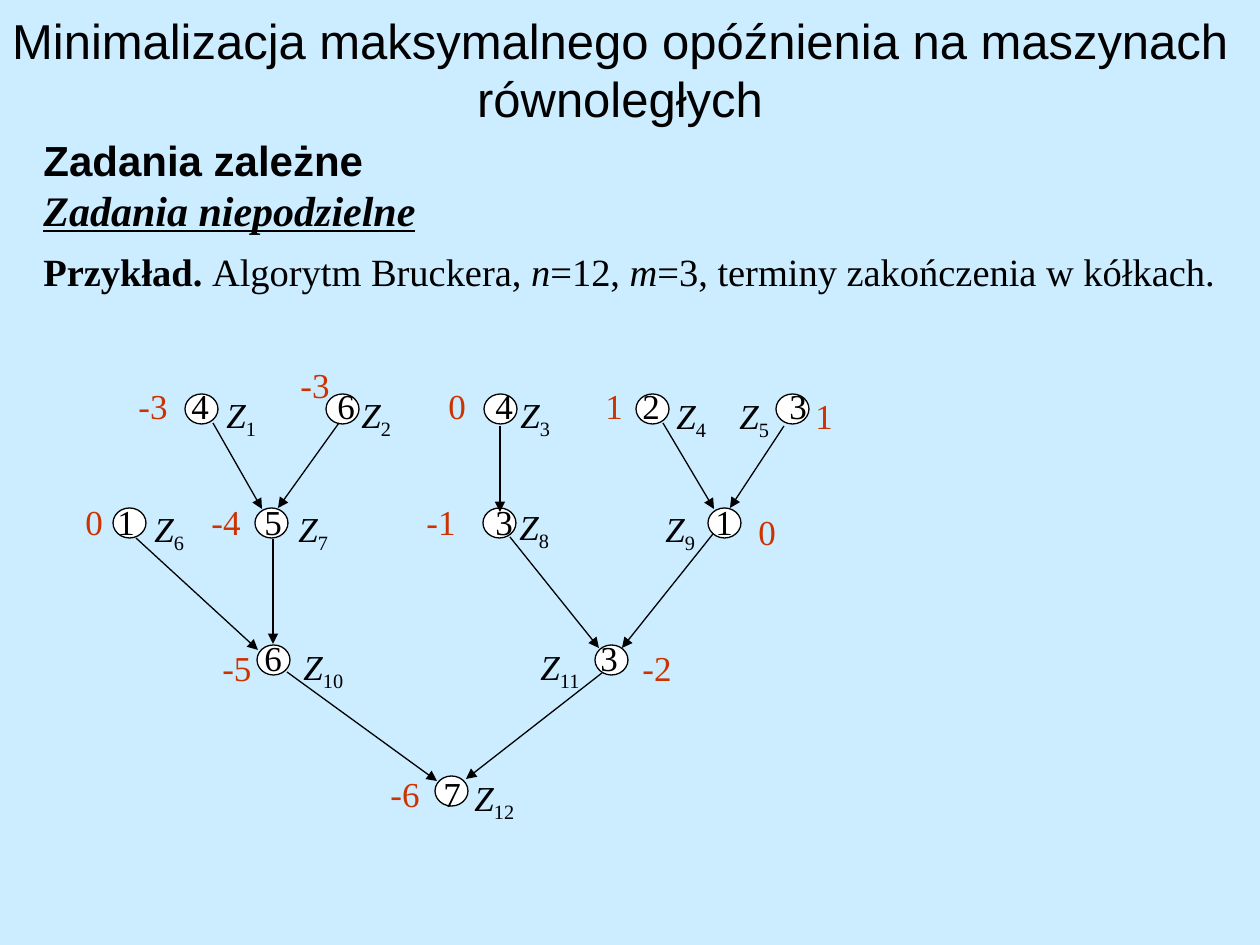
from lxml import etree
from pptx import Presentation
from pptx import util as u
from pptx.dml.color import RGBColor
from pptx.enum import shapes, text
from pptx.oxml.ns import qn

PX = 914400 // 126
THEME = {
    "back": RGBColor.from_string("CCECFF"),
    "ink": RGBColor.from_string("000000"),
    "circle": RGBColor.from_string("FFFFFF"),
    "due": RGBColor.from_string("CC3300"),
    "sans": "Arial",
    "serif": "Times New Roman",
    "title": u.Pt(28),
    "heading": u.Pt(24),
    "example": u.Pt(22),
    "graph": u.Pt(20),
    "line": u.Pt(0.75),
}


def add_span(para, words, size, name=THEME["serif"], color=THEME["ink"], **formats):
    span = para.add_run()
    span.text = words
    span.font.color.rgb = color
    for key, value in {"size": size, "name": name, **formats}.items():
        setattr(span.font, key, value)
    return span


def add_box(left, top, width, height):
    box = page.shapes.add_textbox(left * PX, top * PX, width * PX, height * PX)
    box.text_frame.word_wrap = True
    return box.text_frame


deck = Presentation()
deck.slide_width, deck.slide_height = 1260 * PX, 945 * PX
page = deck.slides.add_slide(deck.slide_layouts[5])
page.background.fill.solid()
page.background.fill.fore_color.rgb = THEME["back"]

# Title
title = page.shapes.title
place = {"left": -10, "top": -10, "width": 1260, "height": 158}
for key, value in place.items():
    setattr(title, key, value * PX)
title.text_frame.vertical_anchor = text.MSO_ANCHOR.MIDDLE
para = title.text_frame.paragraphs[0]
para.alignment = text.PP_ALIGN.CENTER
add_span(para, "Minimalizacja maksymalnego opóźnienia na maszynach równoległych",
         THEME["title"], THEME["sans"])

# Headings
frame = add_box(31, 128, 1229, 114)
add_span(frame.paragraphs[0], "Zadania zależne", THEME["heading"], THEME["sans"], bold=True)
add_span(frame.add_paragraph(), "Zadania niepodzielne", THEME["heading"],
         bold=True, italic=True, underline=True)

# Example
para = add_box(31, 242, 1229, 59).paragraphs[0]
for words, formats in [
    ("Przykład. ", {"bold": True}),
    ("Algorytm Bruckera, ", {}),
    ("n", {"italic": True}),
    ("=12, ", {}),
    ("m", {"italic": True}),
    ("=3, terminy zakończenia w kółkach.", {}),
]:
    add_span(para, words, THEME["example"], **formats)

# Tasks by level: circle top, deadline top, then for each task
# (number, deadline, circle left, deadline left, label place, changed deadline, its place)
levels = [
    (394, 378, [
        (1, 4, 185, 179, (214, 387), "-3", (126, 378)),
        (2, 6, 326, 325, (349, 387), "-3", (288, 357)),
        (3, 4, 484, 483, (508, 387), "0", (436, 378)),
        (4, 2, 636, 630, (664, 388), "1", (593, 378)),
        (5, 3, 776, 777, (727, 388), "1", (803, 388)),
    ]),
    (508, 494, [
        (6, 1, 113, 105, (142, 501), "0", (73, 494)),
        (7, 5, 255, 252, (286, 501), "-4", (199, 494)),
        (8, 3, 483, 483, (507, 499), "-1", (414, 494)),
        (9, 1, 708, 703, (653, 501), "0", (746, 504)),
    ]),
    (645, 630, [
        (10, 6, 257, 252, (291, 639), "-5", (210, 640)),
        (11, 3, 595, 588, (528, 639), "-2", (630, 640)),
    ]),
    (776, 766, [
        (12, 7, 435, 431, (462, 770), "-6", (378, 766)),
    ]),
]

# Circles
for circle_top, _, tasks in levels:
    for _, _, circle_left, *_ in tasks:
        circle = page.shapes.add_shape(shapes.MSO_SHAPE.OVAL, circle_left * PX,
                                       circle_top * PX, 33 * PX, 30 * PX)
        circle.shadow.inherit = False
        circle.fill.solid()
        circle.fill.fore_color.rgb = THEME["circle"]
        circle.line.color.rgb = THEME["ink"]
        circle.line.width = THEME["line"]

# Precedence arrows
for ends in [
    (213, 423, 262, 509),
    (339, 423, 278, 508),
    (500, 426, 500, 512),
    (663, 423, 714, 509),
    (784, 426, 730, 508),
    (273, 539, 273, 644),
    (136, 538, 258, 650),
    (713, 534, 622, 648),
    (287, 672, 437, 781),
    (602, 673, 466, 779),
    (510, 537, 599, 648),
]:
    arrow = page.shapes.add_connector(shapes.MSO_CONNECTOR.STRAIGHT,
                                      *(end * PX for end in ends))
    arrow.line.color.rgb = THEME["ink"]
    arrow.line.width = THEME["line"]
    etree.SubElement(arrow.line._get_or_add_ln(), qn("a:tailEnd"), type="triangle")
    etree.SubElement(arrow._element.spPr, qn("a:effectLst"))

# Task labels, deadlines and changed deadlines
for _, digit_top, tasks in levels:
    for number, deadline, _, digit_left, label, changed, changed_place in tasks:
        para = add_box(*label, 82 if number > 9 else 62, 53).paragraphs[0]
        add_span(para, "Z", THEME["graph"], italic=True)
        index = add_span(para, str(number), THEME["graph"])
        index.font._element.set("baseline", "-25000")
        para = add_box(digit_left, digit_top, 43, 53).paragraphs[0]
        add_span(para, str(deadline), THEME["graph"])
        para = add_box(*changed_place, 74, 53).paragraphs[0]
        add_span(para, changed, THEME["graph"], color=THEME["due"])

deck.save("out.pptx")
